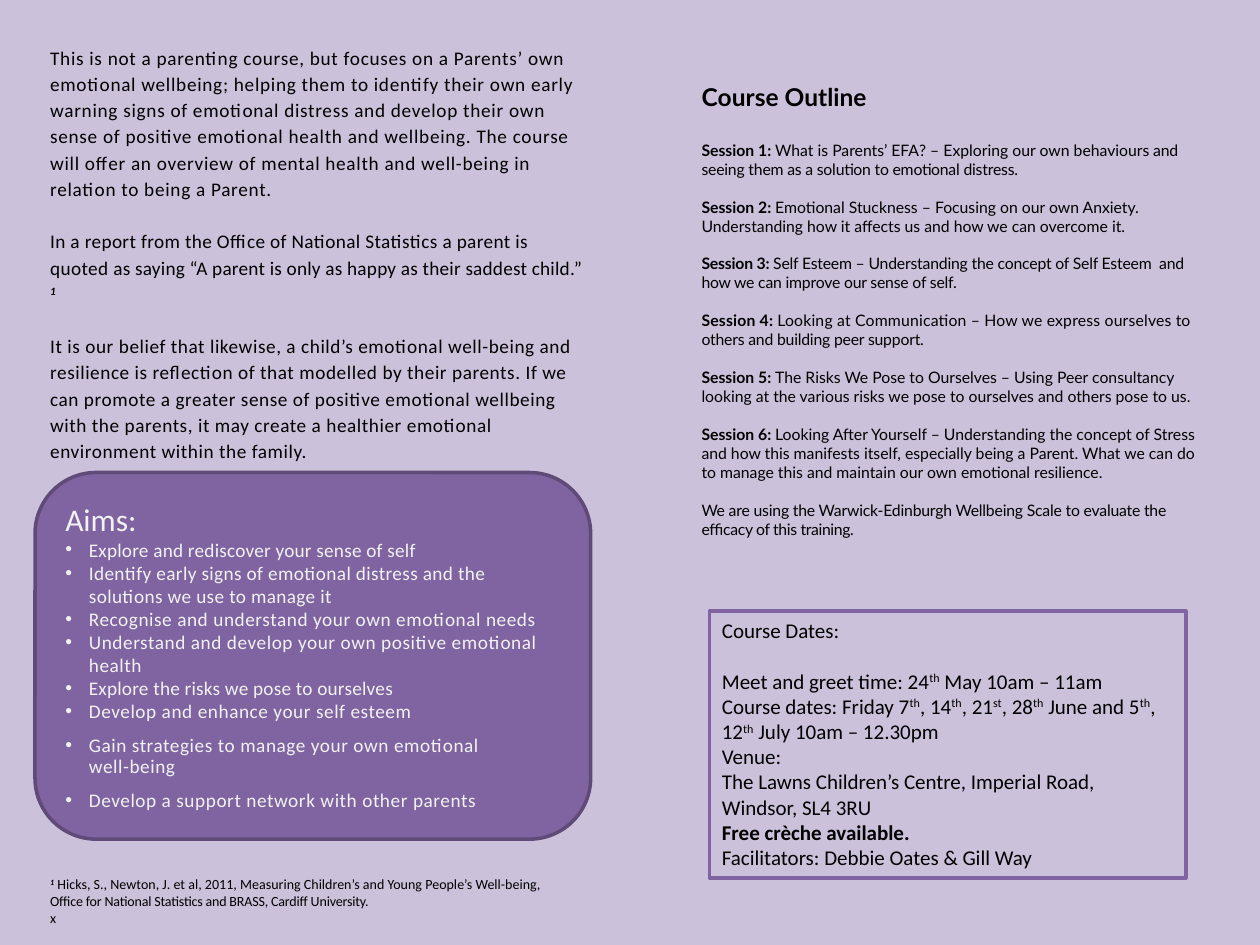
from dataclasses import dataclass
from lxml.etree import SubElement
from pptx import Presentation
from pptx.dml.color import RGBColor
from pptx.enum.shapes import MSO_SHAPE
from pptx.enum.text import MSO_ANCHOR, MSO_AUTO_SIZE, PP_ALIGN
from pptx.oxml.ns import qn
from pptx.slide import Slide
from pptx.util import Pt

LILAC, PURPLE, DARK_PURPLE = "CCC1DA", "8064A2", "5F4A78"
BLACK, OFF_WHITE = "000000", "F2F2F2"

INTRODUCTION = [
    [("This is not a parenting course, but focuses on a Parents’ own emotional wellbeing; "
      "helping them to identify their own early warning signs of emotional distress and "
      "develop their own sense of positive emotional health and wellbeing. The course will "
      "offer an overview of mental health and well-being in relation to being a Parent.", 0.4, "")],
    [("In a report from the Office of National Statistics a parent is quoted ", 0.2, ""),
     ("as saying “A parent is only as happy as their saddest child.” ", 0.1, ""),
     ("1", 0.1, "bi^")],
    [("It is our belief that likewise, a child’s emotional well-being and resilience is "
      "reflection of that modelled by their parents. If we can promote a greater sense of "
      "positive emotional wellbeing with the parents, it may create a healthier emotional "
      "environment within the family.", 0.3, "")],
]

AIMS = [
    ("Explore and rediscover your sense of self", 0.1, None, 0),
    ("Identify early signs of emotional distress and the solutions we use to manage it", 0.2, None, 0),
    ("Recognise and understand your own emotional needs", 0.3, None, 0),
    ("Understand and develop your own positive emotional health", 0.3, None, 0),
    ("Explore the risks we pose to ourselves", 0.1, None, 0),
    ("Develop and enhance your self esteem", 0.3, 13, 0),
    ("Gain strategies to manage your own emotional\vwell-being", 0.3, 12, 7.5),
    ("Develop a support network with other parents", 0.3, 12, 7.5),
]

FOOTNOTE = [
    [("1", 0, "bi^"),
     (" Hicks, S., Newton, J. et al, 2011, Measuring Children’s and Young People’s Well-being,", 0, "")],
    [("Office for National Statistics and BRASS, Cardiff University.", -0.1, "")],
    [("x", 0, "")],
]

SESSIONS = [
    (0, [("What is Parents’ EFA? – Exploring our own behaviours ", 0, ""),
         ("and seeing them as a solution to emotional distress.", -0.1, "")]),
    (0, [("Emotional Stuckness – Focusing on our own Anxiety. Understanding how it affects us "
          "and how we can overcome it.", 0, "")]),
    (-0.1, [("Self Esteem – Understanding the concept of Self Esteem  and how we can improve "
             "our sense of self.", -0.1, "")]),
    (0.1, [("Looking at Communication – How we express ourselves ", 0.1, ""),
           ("to others and building peer support.", -0.1, "")]),
    (0, [("The Risks We Pose to Ourselves – Using Peer consultancy looking at the various risks "
          "we pose to ourselves and others pose to us.", 0, "")]),
    (0, [("Looking After Yourself – Understanding the concept of Stress and how this manifests "
          "itself, especially being a Parent. What we can do to manage this and maintain our "
          "own emotional resilience.", 0, "")]),
]
EVALUATION = [
    ("We are using the Warwick-Edinburgh Wellbeing Scale to evaluate the ", -0.1, ""),
    ("efficacy of this training.", -0.2, ""),
]

DATES = [
    ("Course Dates:", "", 0),
    ("Meet and greet time: 24^th^ May 10am – 11am", "", 14.6),
    ("Course dates: Friday 7^th^, 14^th^, 21^st^, 28^th^ June and 5^th^, 12^th^ July 10am – 12.30pm", "", 0),
    ("Venue:", "", 0),
    ("The Lawns Children’s Centre, Imperial Road, Windsor, SL4 3RU", "", 0),
    ("Free crèche available.", "b", 0),
    ("Facilitators: Debbie Oates & Gill Way", "", 0),
]


def color(value):
    """Turn a hex string into a colour."""
    return RGBColor.from_string(value)


def superscript_runs(text, style):
    """Split text at carets, raising every second part."""
    return [(part, 0, style + "^" * (index % 2)) for index, part in enumerate(text.split("^"))]


@dataclass
class Leaflet:
    """Hold the text style and the current slide."""
    slide: Slide
    font: str = "Calibri"
    ink: str = BLACK

    def add_paragraph(self, frame, runs, size, before=0, line=None, bullet=False):
        """Append one paragraph of (text, spacing, style) runs."""
        first = frame.paragraphs[0]
        paragraph = frame.add_paragraph() if first.runs else first
        paragraph.alignment = PP_ALIGN.LEFT
        if bullet:
            properties = paragraph._p.get_or_add_pPr()
            properties.set("marL", str(Pt(13.5)))
            properties.set("indent", str(-Pt(13.5)))
            SubElement(properties, qn("a:buFont")).set("typeface", "Arial")
            SubElement(properties, qn("a:buChar")).set("char", "•")
        paragraph.space_before = Pt(before)
        if line:
            paragraph.line_spacing = Pt(line)
        for text, spacing, style in runs:
            for index, part in enumerate(text.split("\v")):
                if index:
                    paragraph.add_line_break()
                self.add_run(paragraph, part, size, spacing, style)

    def add_run(self, paragraph, text, size, spacing, style):
        """Append one formatted run."""
        run = paragraph.add_run()
        run.text = text
        run.font.name, run.font.size = self.font, Pt(size)
        run.font.bold, run.font.italic = "b" in style, "i" in style
        run.font.color.rgb = color(self.ink)
        properties = run._r.get_or_add_rPr()
        if spacing:
            properties.set("spc", str(round(spacing * 100)))
        if "^" in style:
            properties.set("baseline", "30000")

    def title(self, text, box, size):
        """Move and format the title placeholder."""
        shape = self.slide.shapes.title
        shape.left, shape.top, shape.width, shape.height = map(Pt, box)
        frame = shape.text_frame
        frame.auto_size, frame.vertical_anchor = MSO_AUTO_SIZE.NONE, MSO_ANCHOR.TOP
        self.add_paragraph(frame, [(text, 0, "b")], size)

    def text_box(self, box):
        """Add a wrapping text box and return its frame."""
        frame = self.slide.shapes.add_textbox(*map(Pt, box)).text_frame
        frame.word_wrap = True
        return frame

    def panel(self, kind, box, fill, line, anchor):
        """Add an outlined panel and return its frame."""
        shape = self.slide.shapes.add_shape(kind, *map(Pt, box))
        shape.shadow.inherit = False
        shape.fill.solid()
        shape.fill.fore_color.rgb = color(fill)
        shape.line.color.rgb = color(line)
        shape.line.width = Pt(2)
        shape.text_frame.word_wrap = True
        shape.text_frame.vertical_anchor = anchor
        return shape.text_frame


def main():
    """Build the course leaflet."""
    presentation = Presentation()
    presentation.slide_width, presentation.slide_height = Pt(720), Pt(540)
    slide = presentation.slides.add_slide(presentation.slide_layouts[5])
    slide.background.fill.solid()
    slide.background.fill.fore_color.rgb = color(LILAC)
    leaflet = Leaflet(slide)

    frame = leaflet.text_box((21.6, 20.9, 321.1, 249.8))
    for index, runs in enumerate(INTRODUCTION):
        leaflet.add_paragraph(frame, runs, 11, before=15 if index else 0, line=15)

    frame = leaflet.panel(MSO_SHAPE.ROUNDED_RECTANGLE, (20, 270, 317.5, 209.5),
                          PURPLE, DARK_PURPLE, MSO_ANCHOR.MIDDLE)
    leaflet.ink = OFF_WHITE
    leaflet.add_paragraph(frame, [("Aims:", 0, "")], 18)
    for text, spacing, line, before in AIMS:
        leaflet.add_paragraph(frame, [(text, spacing, "")], 11, before, line, bullet=True)
    leaflet.ink = BLACK

    frame = leaflet.text_box((21.6, 496.8, 321.1, 36))
    for runs in FOOTNOTE:
        leaflet.add_paragraph(frame, runs, 8)

    leaflet.font = "Lato"
    leaflet.title("Course Outline", (393.8, 43.2, 306, 24), 14)
    frame = leaflet.text_box((393.8, 76.8, 306, 247))
    for number, (spacing, runs) in enumerate(SESSIONS, 1):
        label = (f"Session {number}: ", spacing, "b")
        leaflet.add_paragraph(frame, [label] + runs, 9, before=10.8 if number > 1 else 0)
    leaflet.add_paragraph(frame, EVALUATION, 9, before=10.8)

    leaflet.font = "Calibri"
    frame = leaflet.panel(MSO_SHAPE.RECTANGLE, (405.4, 349.2, 272.2, 152.6),
                          LILAC, PURPLE, MSO_ANCHOR.TOP)
    for text, style, before in DATES:
        leaflet.add_paragraph(frame, superscript_runs(text, style), 12, before)

    presentation.save("out.pptx")


if __name__ == "__main__":
    main()
